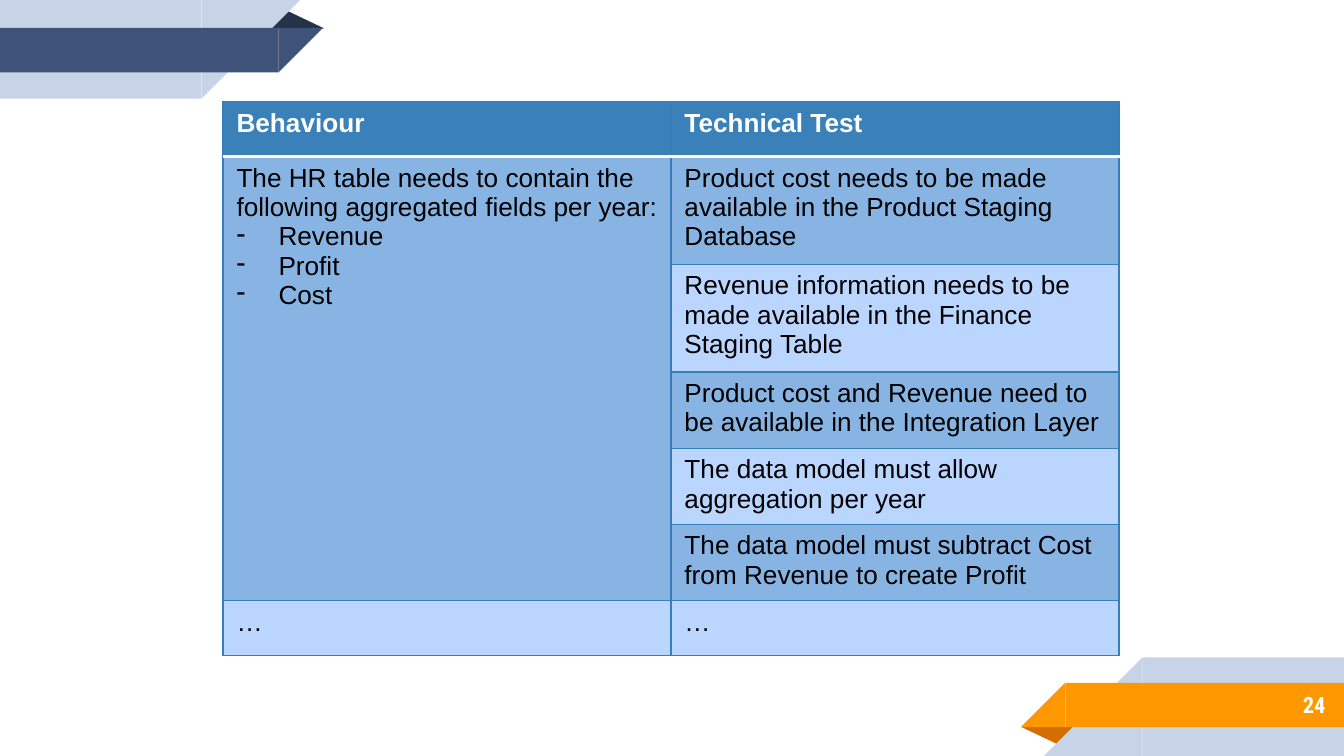
from dataclasses import dataclass

from lxml import etree
from pptx import Presentation
from pptx.dml.color import RGBColor
from pptx.enum.shapes import MSO_SHAPE
from pptx.enum.text import MSO_ANCHOR, PP_ALIGN
from pptx.oxml.ns import qn
from pptx.util import Pt

RECT = MSO_SHAPE.RECTANGLE
RIGHT_TRIANGLE = MSO_SHAPE.RIGHT_TRIANGLE
TRIANGLE = MSO_SHAPE.ISOSCELES_TRIANGLE
MIDDLE = MSO_ANCHOR.MIDDLE
RIGHT = PP_ALIGN.RIGHT

COLORS = {
    "pale": "C7D3E6",
    "navy": "3F5378",
    "navy_fold": "263248",
    "orange": "FF9800",
    "orange_fold": "D26F00",
    "header": "3A81BA",
    "band_dark": "87B4E3",
    "band_light": "BAD6FF",
    "border": "367EB9",
    "white": "FFFFFF",
    "black": "000000",
}


@dataclass
class Band:
    left: float
    top: float
    width: float
    height: float
    color: str
    flip: str


@dataclass
class Fold:
    left: float
    top: float
    color: str
    rotation: float


@dataclass
class Row:
    height: float
    left: str
    right: str
    fill: str


CORNERS = [
    (
        Fold(547.2, 389.5, "orange_fold", 180),
        Band(612, 352.2, 108, 52.8, "pale", "flipH"),
        Band(570.7, 365.8, 149.3, 23.8, "orange", "flipH"),
    ),
    (
        Fold(142.6, 5.2, "navy_fold", 0),
        Band(0, 0, 108, 52.8, "pale", "flipV"),
        Band(0, 15, 149.3, 23.8, "navy", "flipV"),
    ),
]

BEHAVIOUR = "The HR table needs to contain the following aggregated fields per year:"
FIELDS = ["Revenue", "Profit", "Cost"]
ROWS = [
    Row(29.5, "Behaviour", "Technical Test", "header"),
    Row(54.5, "\n".join([BEHAVIOUR, *FIELDS]),
        "Product cost needs to be made available in the Product Staging Database", "band_dark"),
    Row(54.5, "", "Revenue information needs to be made available in the Finance Staging Table",
        "band_light"),
    Row(38.5, "", "Product cost and Revenue need to be available in the Integration Layer",
        "band_dark"),
    Row(38.5, "", "The data model must allow aggregation per year", "band_light"),
    Row(38.5, "", "The data model must subtract Cost from Revenue to create Profit", "band_dark"),
    Row(29.5, "…", "…", "band_light"),
]


def rgb(name: str) -> RGBColor:
    return RGBColor.from_string(COLORS[name])


def add_piece(s, kind, left: float, top: float, width: float, height: float, color: str):
    sp = s.shapes.add_shape(kind, Pt(left), Pt(top), Pt(width), Pt(height))
    sp.shadow.inherit = False
    sp.fill.solid()
    sp.fill.fore_color.rgb = rgb(color)
    sp.line.fill.background()
    return sp


def draw_band(s, b: Band) -> None:
    add_piece(s, RECT, b.left, b.top, b.width, b.height, b.color)
    tip = b.left - b.height if b.flip == "flipH" else b.left + b.width
    sp = add_piece(s, RIGHT_TRIANGLE, tip, b.top, b.height, b.height, b.color)
    sp._element.spPr.find(qn("a:xfrm")).set(b.flip, "1")


def draw_fold(s, f: Fold) -> None:
    sp = add_piece(s, TRIANGLE, f.left, f.top, 31, 10, f.color)
    sp.adjustments[0] = 0.324
    sp.rotation = f.rotation


def draw_number(s, number: str) -> None:
    tf = s.shapes.add_textbox(Pt(599.8), Pt(365), Pt(117.4), Pt(25.2)).text_frame
    tf.word_wrap = True
    tf.vertical_anchor = MIDDLE
    tf.margin_left = tf.margin_right = tf.margin_top = tf.margin_bottom = Pt(7.2)
    tf.text = number
    p = tf.paragraphs[0]
    p.alignment = RIGHT
    style(p, "Roboto Condensed", 12, "white", True)


def style(p, font: str, size: float, color: str, bold: bool) -> None:
    for r in p.runs:
        r.font.name = font
        r.font.size = Pt(size)
        r.font.bold = bold
        r.font.color.rgb = rgb(color)


def set_border(cell, side: str, color: str, width: float) -> None:
    ln = etree.SubElement(cell._tc.get_or_add_tcPr(), qn(f"a:{side}"), w=str(Pt(width)))
    fill = etree.SubElement(ln, qn("a:solidFill"))
    etree.SubElement(fill, qn("a:srgbClr"), val=COLORS[color])


def add_dash(p) -> None:
    pPr = p._p.get_or_add_pPr()
    pPr.set("marL", str(Pt(22.5)))
    pPr.set("indent", str(-Pt(22.5)))
    color = etree.SubElement(pPr, qn("a:buClr"))
    etree.SubElement(color, qn("a:srgbClr"), val=COLORS["black"])
    etree.SubElement(pPr, qn("a:buChar"), char="-")


def fill_cell(cell, text: str, fill: str, row: int) -> None:
    rule = {(0, "lnB"), (1, "lnT")}
    for side in ("lnL", "lnR", "lnT", "lnB"):
        color, width = ("white", 2) if (row, side) in rule else ("border", 0.75)
        set_border(cell, side, color, width)
    cell.fill.solid()
    cell.fill.fore_color.rgb = rgb(fill)
    cell.text_frame.text = text
    for p in cell.text_frame.paragraphs:
        if p.text in FIELDS:
            add_dash(p)
        style(p, "Arial", 14, "white" if row == 0 else "black", row == 0)


def draw_table(s, rows: list[Row]) -> None:
    height = sum(row.height for row in rows)
    table = s.shapes.add_table(len(rows), 2, Pt(119.5), Pt(54.5), Pt(480), Pt(height)).table
    for i, row in enumerate(rows):
        table.rows[i].height = Pt(row.height)
        for j, text in enumerate((row.left, row.right)):
            fill_cell(table.cell(i, j), text, row.fill, i)
    table.cell(1, 0).merge(table.cell(5, 0))


def main() -> None:
    prs = Presentation()
    prs.slide_width, prs.slide_height = Pt(720), Pt(405)
    s = prs.slides.add_slide(prs.slide_layouts[6])
    for fold, *bands in CORNERS:
        draw_fold(s, fold)
        for band in bands:
            draw_band(s, band)
    draw_number(s, "24")
    draw_table(s, ROWS)
    prs.save("out.pptx")


if __name__ == "__main__":
    main()
